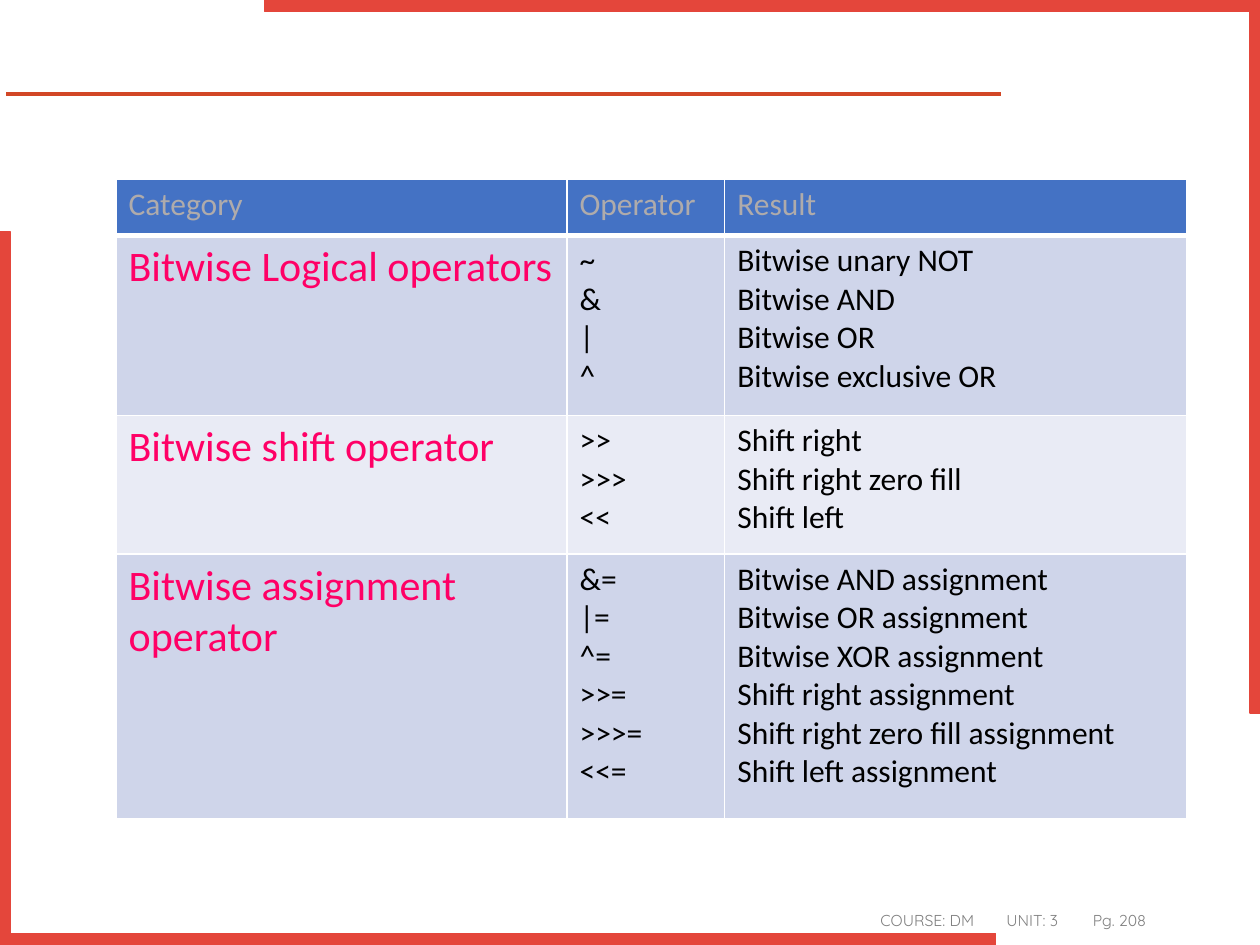
from dataclasses import dataclass

import pptx
import pptx.dml.color
import pptx.enum.shapes
import pptx.oxml
import pptx.oxml.ns
import pptx.util
from lxml import etree
from pptx.util import Cm


@dataclass(frozen=True)
class Theme:
    frame: str = "E4463B"
    rule: str = "D24726"
    footer: str = "808080"
    header_fill: str = "4472C4"
    header_text: str = "AFABAB"
    bands: tuple = ("CFD5EA", "E9EBF5")
    border: str = "FFFFFF"
    category: str = "FF0066"
    body: str = "000000"
    table_font: str = "Calibri"
    footer_font: str = "Quicksand"
    category_size: int = 24
    body_size: int = 18
    footer_size: int = 9


THEME = Theme()

HEADINGS = ("Category", "Operator", "Result")
OPERATOR_GROUPS = [
    ("Bitwise Logical operators", [
        ("~", "Bitwise unary NOT"),
        ("&", "Bitwise AND"),
        ("|", "Bitwise OR"),
        ("^", "Bitwise exclusive OR"),
    ]),
    ("Bitwise shift operator", [
        (">>", "Shift right"),
        (">>>", "Shift right zero fill"),
        ("<<", "Shift left"),
    ]),
    ("Bitwise assignment operator", [
        ("&=", "Bitwise AND assignment"),
        ("|=", "Bitwise OR assignment"),
        ("^=", "Bitwise XOR assignment"),
        (">>=", "Shift right assignment"),
        (">>>=", "Shift right zero fill assignment"),
        ("<<=", "Shift left assignment"),
    ]),
]
COLUMN_WIDTHS = (9.09, 3.18, 9.32)
ROW_HEIGHTS = (1.14, 3.63, 2.79, 5.33)


def rgb(value):
    return pptx.dml.color.RGBColor.from_string(value)


def add_span(para, text, font, size, color):
    span = para.add_run()
    span.text = text
    span.font.name = font
    span.font.size = pptx.util.Pt(size)
    span.font.color.rgb = rgb(color)


def add_frame_corner(page, left, top, rotation):
    corner = page.shapes.add_shape(
        pptx.enum.shapes.MSO_SHAPE.RECTANGLE, Cm(left), Cm(top), Cm(20.07), Cm(14.38))
    # The L-shaped preset has no member in MSO_SHAPE
    geometry = corner._element.spPr.find(pptx.oxml.ns.qn("a:prstGeom"))
    geometry.set("prst", "corner")
    guides = geometry.find(pptx.oxml.ns.qn("a:avLst"))
    for name, value in (("adj1", 1600), ("adj2", 1400)):
        etree.SubElement(guides, pptx.oxml.ns.qn("a:gd"), name=name, fmla=f"val {value}")
    corner.rotation = rotation
    corner.shadow.inherit = False
    corner.fill.solid()
    corner.fill.fore_color.rgb = rgb(THEME.frame)
    corner.line.color.rgb = rgb(THEME.frame)
    corner.line.width = pptx.util.Pt(1)


def add_rule(page, left, right, top):
    rule = page.shapes.add_connector(
        pptx.enum.shapes.MSO_CONNECTOR.STRAIGHT, Cm(left), Cm(top), Cm(right), Cm(top))
    rule.line.color.rgb = rgb(THEME.rule)
    rule.line.width = pptx.util.Pt(2)
    etree.SubElement(rule._element.spPr, pptx.oxml.ns.qn("a:effectLst"))


def add_footer(page, parts, tab_stops):
    box = page.shapes.add_textbox(Cm(17.5), Cm(18.24), Cm(6.35), Cm(0.56))
    box.text_frame.word_wrap = True
    para = box.text_frame.paragraphs[0]
    tabs = etree.SubElement(para._p.get_or_add_pPr(), pptx.oxml.ns.qn("a:tabLst"))
    for stop in tab_stops:
        etree.SubElement(tabs, pptx.oxml.ns.qn("a:tab"), pos=str(int(Cm(stop))), algn="l")
    para.space_after = pptx.util.Pt(6)
    add_span(para, "\t".join(parts), THEME.footer_font, THEME.footer_size, THEME.footer)


def set_borders(cell, bottom_width):
    properties = cell._tc.get_or_add_tcPr()
    for side, width in (("L", 1), ("R", 1), ("T", 1), ("B", bottom_width)):
        properties.append(pptx.oxml.parse_xml(
            f'<a:ln{side} {pptx.oxml.ns.nsdecls("a")} w="{int(pptx.util.Pt(width))}">'
            f'<a:solidFill><a:srgbClr val="{THEME.border}"/></a:solidFill></a:ln{side}>'))


def fill_cell(cell, lines, size, color, fill, bottom_width=1):
    set_borders(cell, bottom_width)
    cell.fill.solid()
    cell.fill.fore_color.rgb = rgb(fill)
    para = cell.text_frame.paragraphs[0]
    for index, line in enumerate(lines):
        if index:
            para.add_line_break()
        add_span(para, line, THEME.table_font, size, color)


def add_operator_table(page):
    table = page.shapes.add_table(
        len(ROW_HEIGHTS), len(COLUMN_WIDTHS), Cm(2.34), Cm(3.61),
        Cm(sum(COLUMN_WIDTHS)), Cm(sum(ROW_HEIGHTS))).table
    for column, width in zip(table.columns, COLUMN_WIDTHS):
        column.width = Cm(width)
    for row, height in zip(table.rows, ROW_HEIGHTS):
        row.height = Cm(height)
    # Regular weight in the header row
    table.first_row = False

    for column, heading in enumerate(HEADINGS):
        fill_cell(table.cell(0, column), [heading], THEME.body_size,
                  THEME.header_text, THEME.header_fill, bottom_width=3)
    for row, (category, entries) in enumerate(OPERATOR_GROUPS, start=1):
        fill = THEME.bands[(row - 1) % 2]
        fill_cell(table.cell(row, 0), [category], THEME.category_size,
                  THEME.category, fill)
        for column, lines in enumerate(zip(*entries), start=1):
            fill_cell(table.cell(row, column), lines, THEME.body_size,
                      THEME.body, fill)


def main():
    deck = pptx.Presentation()
    deck.slide_width, deck.slide_height = Cm(25.4), Cm(19.05)
    # The slide has no title, so the blank layout fits
    page = deck.slides.add_slide(deck.slide_layouts[6])

    # Rule and corner frame
    add_rule(page, 0.13, 20.17, 1.9)
    add_frame_corner(page, 5.33, 0, 180)
    add_frame_corner(page, 0, 4.67, 0)

    # Footer
    add_footer(page, ("COURSE: DM", "UNIT: 3", "Pg. 208"), (2.54, 4.28))

    # Operators by category
    add_operator_table(page)

    deck.save("out.pptx")


if __name__ == "__main__":
    main()
